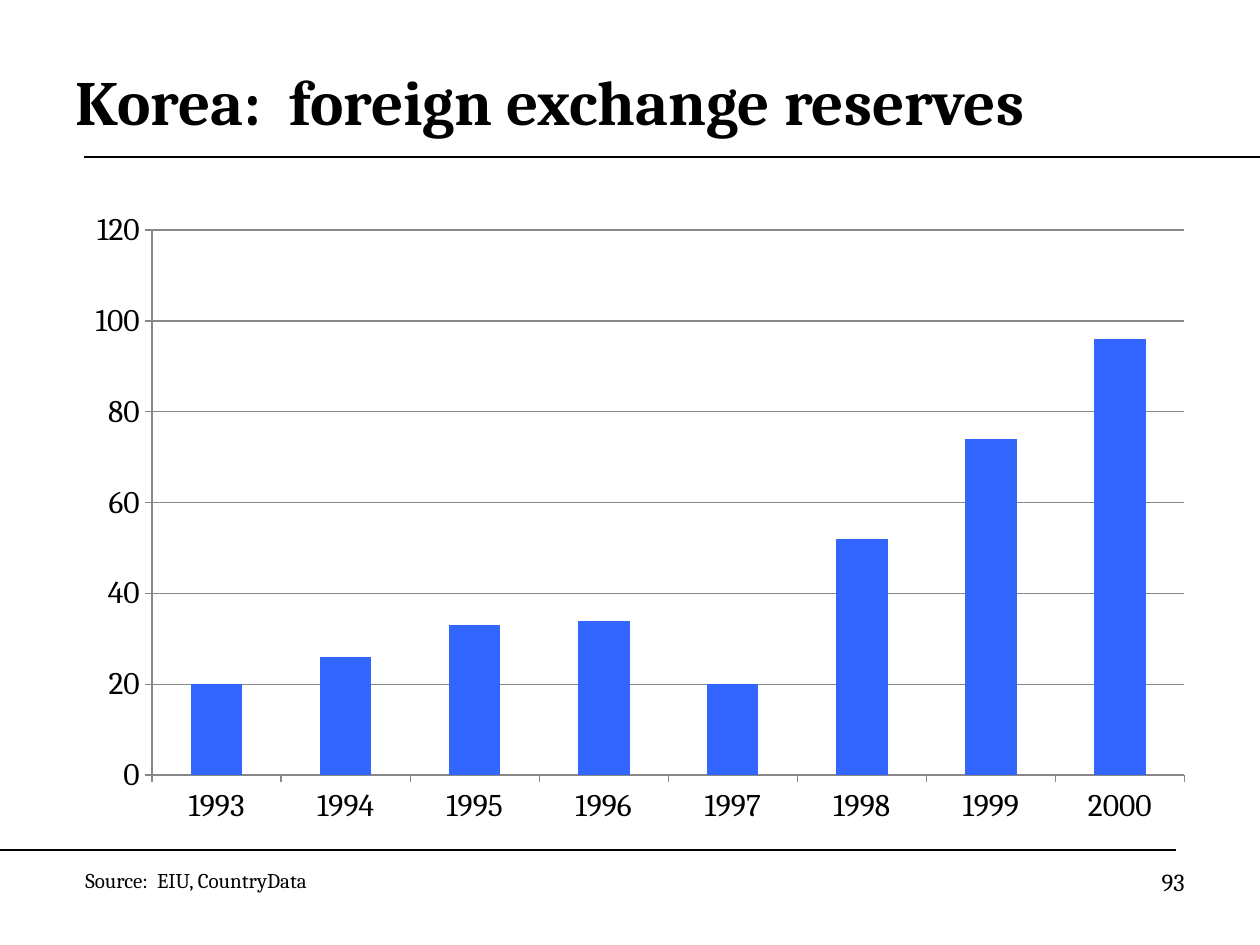
from lxml import etree
from pptx import Presentation
from pptx import util as u
from pptx.chart.data import CategoryChartData
from pptx.dml.color import RGBColor
from pptx.enum import chart as ch, shapes, text
from pptx.oxml.ns import qn

PX = u.Inches(1) / 126
FONT = "Cambria"
COLOURS = {"text": "000000", "rule": "000000", "bar": "3366FF", "axis": "878787"}
RESERVES = {
    "1993": 20, "1994": 26, "1995": 33, "1996": 34,
    "1997": 20, "1998": 52, "1999": 74, "2000": 96,
}


def px(*lengths):
    return [u.Emu(round(length * PX)) for length in lengths]


def colour(name):
    return RGBColor.from_string(COLOURS[name])


def set_font(font, size, bold=False):
    font.name = FONT
    font.size = u.Pt(size)
    font.bold = bold
    font.color.rgb = colour("text")


def write(shape, words, size, align=text.PP_ALIGN.LEFT, bold=False):
    shape.text_frame.word_wrap = True
    paragraph = shape.text_frame.paragraphs[0]
    paragraph.text = words
    paragraph.alignment = align
    set_font(paragraph.font, size, bold)


def add_title(slide, box, words):
    title = slide.shapes.title
    title.left, title.top, title.width, title.height = px(*box)
    title.text_frame.vertical_anchor = text.MSO_ANCHOR.MIDDLE
    write(title, words, 36, bold=True)


def add_label(slide, box, words, size, align=text.PP_ALIGN.LEFT):
    write(slide.shapes.add_textbox(*px(*box)), words, size, align)


def add_rule(slide, left, right, y):
    rule = slide.shapes.add_connector(
        shapes.MSO_CONNECTOR.STRAIGHT, *px(left, y, right, y))
    rule.line.color.rgb = colour("rule")
    rule.line.width = u.Pt(0.75)
    etree.SubElement(rule._element.spPr, qn("a:effectLst"))


def style_line(line):
    line.color.rgb = colour("axis")
    line.width = u.Pt(0.75)


def add_column_chart(slide, box, values):
    data = CategoryChartData()
    data.categories = list(values)
    data.add_series("Series 1", list(values.values()))
    chart = slide.shapes.add_chart(
        ch.XL_CHART_TYPE.COLUMN_CLUSTERED, *px(*box), data).chart
    chart.has_legend = False
    chart.has_title = False
    set_font(chart.font, 18)

    # Columns
    plot = chart.plots[0]
    plot.vary_by_categories = False
    plot.gap_width = 150
    fill = plot.series[0].format.fill
    fill.solid()
    fill.fore_color.rgb = colour("bar")

    # Axes and gridlines
    for axis in (chart.category_axis, chart.value_axis):
        axis.major_tick_mark = ch.XL_TICK_MARK.OUTSIDE
        axis.minor_tick_mark = ch.XL_TICK_MARK.NONE
        style_line(axis.format.line)
    value_axis = chart.value_axis
    value_axis.minimum_scale, value_axis.maximum_scale = 0, 120
    value_axis.major_unit = 20
    value_axis.has_major_gridlines = True
    style_line(value_axis.major_gridlines.format.line)


def main():
    presentation = Presentation()
    presentation.slide_width, presentation.slide_height = px(1260, 945)
    slide = presentation.slides.add_slide(presentation.slide_layouts[5])

    # Heading and rules
    add_rule(slide, 84, 1260, 157)
    add_rule(slide, 0, 1176, 850)
    add_title(slide, (63, 42, 1134, 116), "Korea:  foreign exchange reserves")

    # Reserves by year
    add_column_chart(slide, (73, 199, 1134, 638), RESERVES)

    # Footer
    add_label(slide, (903, 861, 294, 65), "93", 14, text.PP_ALIGN.RIGHT)
    add_label(slide, (73, 861, 609, 38), "Source:  EIU, CountryData", 12)

    presentation.save("out.pptx")


if __name__ == "__main__":
    main()
